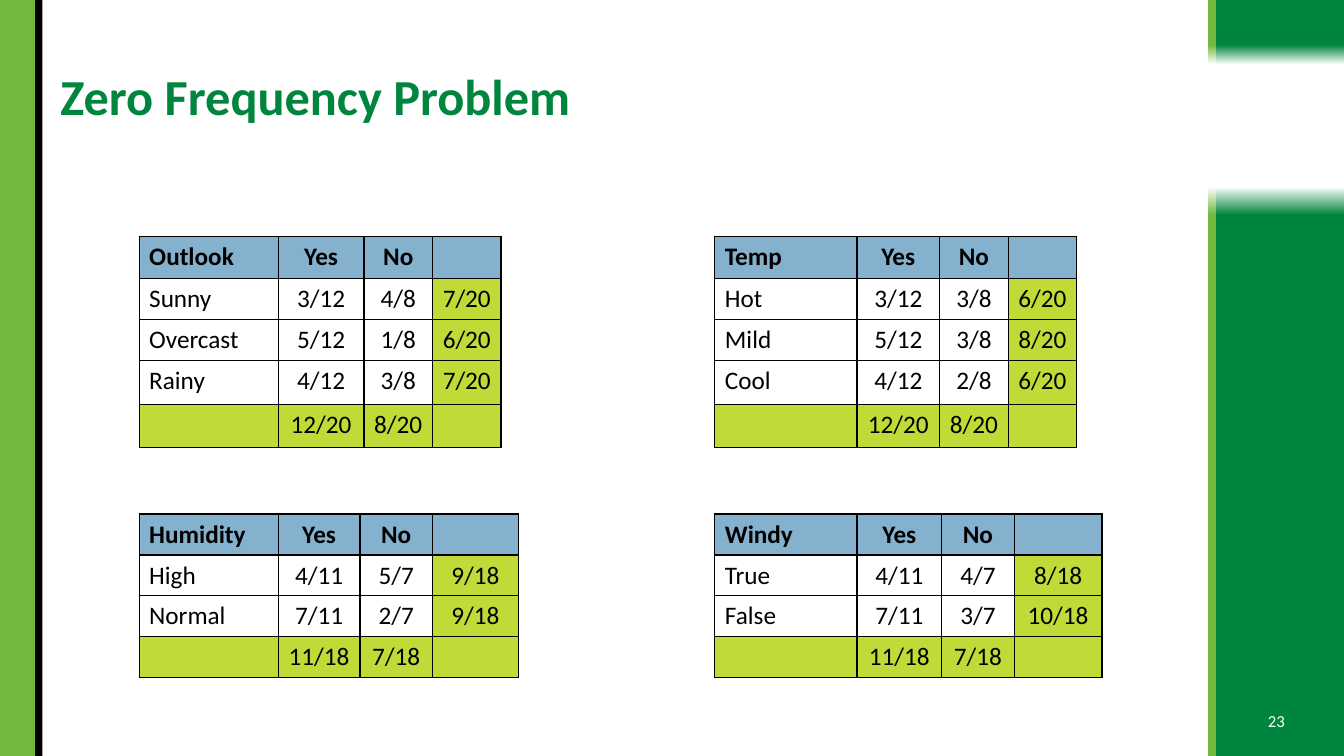
from lxml.etree import SubElement
from pptx import Presentation
from pptx.dml.color import RGBColor
from pptx.enum.shapes import MSO_SHAPE
from pptx.enum.text import MSO_ANCHOR, PP_ALIGN
from pptx.oxml.ns import qn
from pptx.util import Inches, Pt

DARK_GREEN, LIGHT_GREEN = "00853E", "72B83E"
HEADER_BLUE, TOTAL_LIME = "84B1CD", "C0DB37"
BLACK, WHITE = "000000", "FFFFFF"


def color(value):
    return RGBColor.from_string(value)


def write_text(frame, text, size=18, fill=BLACK, bold=False,
               align=PP_ALIGN.LEFT, spacing=None):
    paragraph = frame.paragraphs[0]
    paragraph.alignment = align
    if spacing:
        paragraph.line_spacing = spacing
    run = paragraph.add_run()
    run.text = text
    run.font.name = "Calibri"
    run.font.size = Pt(size)
    run.font.bold = bold
    run.font.color.rgb = color(fill)


def add_label(slide, box, text, **text_format):
    frame = slide.shapes.add_textbox(*map(Inches, box)).text_frame
    frame.word_wrap = True
    frame.vertical_anchor = MSO_ANCHOR.MIDDLE
    write_text(frame, text, **text_format)


def add_bar(slide, box, fill, fade_from=None, rotation=0):
    shape = slide.shapes.add_shape(MSO_SHAPE.RECTANGLE, *map(Inches, box))
    shape.shadow.inherit = False
    shape.line.fill.background()
    shape.rotation = rotation
    if fade_from is None:
        shape.fill.solid()
        shape.fill.fore_color.rgb = color(fill)
        return
    shape.fill.gradient()
    shape.fill.gradient_angle = 270
    stops = shape.fill.gradient_stops
    for stop, position, value in zip(stops, (fade_from, 1), (fill, WHITE)):
        stop.position = position
        stop.color.rgb = color(value)


def add_left_band(slide, left, top, height):
    add_bar(slide, (left, top, 0.35, height), LIGHT_GREEN)
    add_bar(slide, (left + 0.35, top, 0.07, height), BLACK)


def add_right_band(slide, left, top, height):
    upper, lower = 0.64, 5.65
    for offset, width, fill in ((0.08, 1.27, DARK_GREEN), (0, 0.08, LIGHT_GREEN)):
        add_bar(slide, (left + offset, top, width, upper), fill, 0.7)
        add_bar(slide, (left + offset, top + height - lower, width, lower),
                fill, 0.95, 180)


def add_borders(cell):
    properties = cell._tc.get_or_add_tcPr()
    for index, side in enumerate(("lnL", "lnR", "lnT", "lnB")):
        line = SubElement(properties, qn(f"a:{side}"), w=str(Pt(1)))
        solid = SubElement(line, qn("a:solidFill"))
        SubElement(solid, qn("a:srgbClr"), val=BLACK)
        properties.insert(index, line)


def add_frequency_table(slide, left, top, widths, heights, rows):
    box = (left, top, sum(widths), sum(heights))
    table = slide.shapes.add_table(len(rows), len(widths), *map(Inches, box)).table
    table.first_row = table.horz_banding = False
    for column, width in zip(table.columns, widths):
        column.width = Inches(width)
    last_row, last_column = len(rows) - 1, len(widths) - 1
    for row_index, values in enumerate(rows):
        table.rows[row_index].height = Inches(heights[row_index])
        for column_index, value in enumerate(values):
            cell = table.cell(row_index, column_index)
            is_total = row_index == last_row or column_index == last_column
            fill = HEADER_BLUE if row_index == 0 else TOTAL_LIME if is_total else WHITE
            cell.fill.solid()
            cell.fill.fore_color.rgb = color(fill)
            add_borders(cell)
            if value:
                write_text(cell.text_frame, value, bold=row_index == 0,
                           align=PP_ALIGN.CENTER if column_index else PP_ALIGN.LEFT)


def add_tables(slide, left, top):
    right, lower = left + 5.71, top + 2.75
    tall, short = (0.41, 0.41, 0.41, 0.43, 0.43), (0.4,) * 4
    add_frequency_table(slide, left, top, (1.38, 0.85, 0.68, 0.68), tall, [
        ("Outlook", "Yes", "No", ""),
        ("Sunny", "3/12", "4/8", "7/20"),
        ("Overcast", "5/12", "1/8", "6/20"),
        ("Rainy", "4/12", "3/8", "7/20"),
        ("", "12/20", "8/20", ""),
    ])
    add_frequency_table(slide, right, top, (1.41, 0.82, 0.68, 0.68), tall, [
        ("Temp", "Yes", "No", ""),
        ("Hot", "3/12", "3/8", "6/20"),
        ("Mild", "5/12", "3/8", "8/20"),
        ("Cool", "4/12", "2/8", "6/20"),
        ("", "12/20", "8/20", ""),
    ])
    add_frequency_table(slide, left, lower, (1.38, 0.81, 0.72, 0.85), short, [
        ("Humidity", "Yes", "No", ""),
        ("High", "4/11", "5/7", "9/18"),
        ("Normal", "7/11", "2/7", "9/18"),
        ("", "11/18", "7/18", ""),
    ])
    add_frequency_table(slide, right, lower, (1.41, 0.84, 0.72, 0.87), short, [
        ("Windy", "Yes", "No", ""),
        ("True", "4/11", "4/7", "8/18"),
        ("False", "7/11", "3/7", "10/18"),
        ("", "11/18", "7/18", ""),
    ])


def main():
    presentation = Presentation()
    presentation.slide_width = Inches(13.33)
    presentation.slide_height = Inches(7.5)
    slide = presentation.slides.add_slide(presentation.slide_layouts[6])
    add_right_band(slide, 11.98, 0, 7.5)
    add_left_band(slide, 0, 0, 7.5)
    add_tables(slide, 1.38, 2.35)
    add_label(slide, (0.5, 0.4, 11.4, 1.16), "Zero Frequency Problem",
              size=36, fill=DARK_GREEN, bold=True, spacing=0.9)
    add_label(slide, (12.4, 6.95, 0.52, 0.4), "23", size=12, fill=WHITE,
              align=PP_ALIGN.CENTER)
    presentation.save("out.pptx")


if __name__ == "__main__":
    main()
